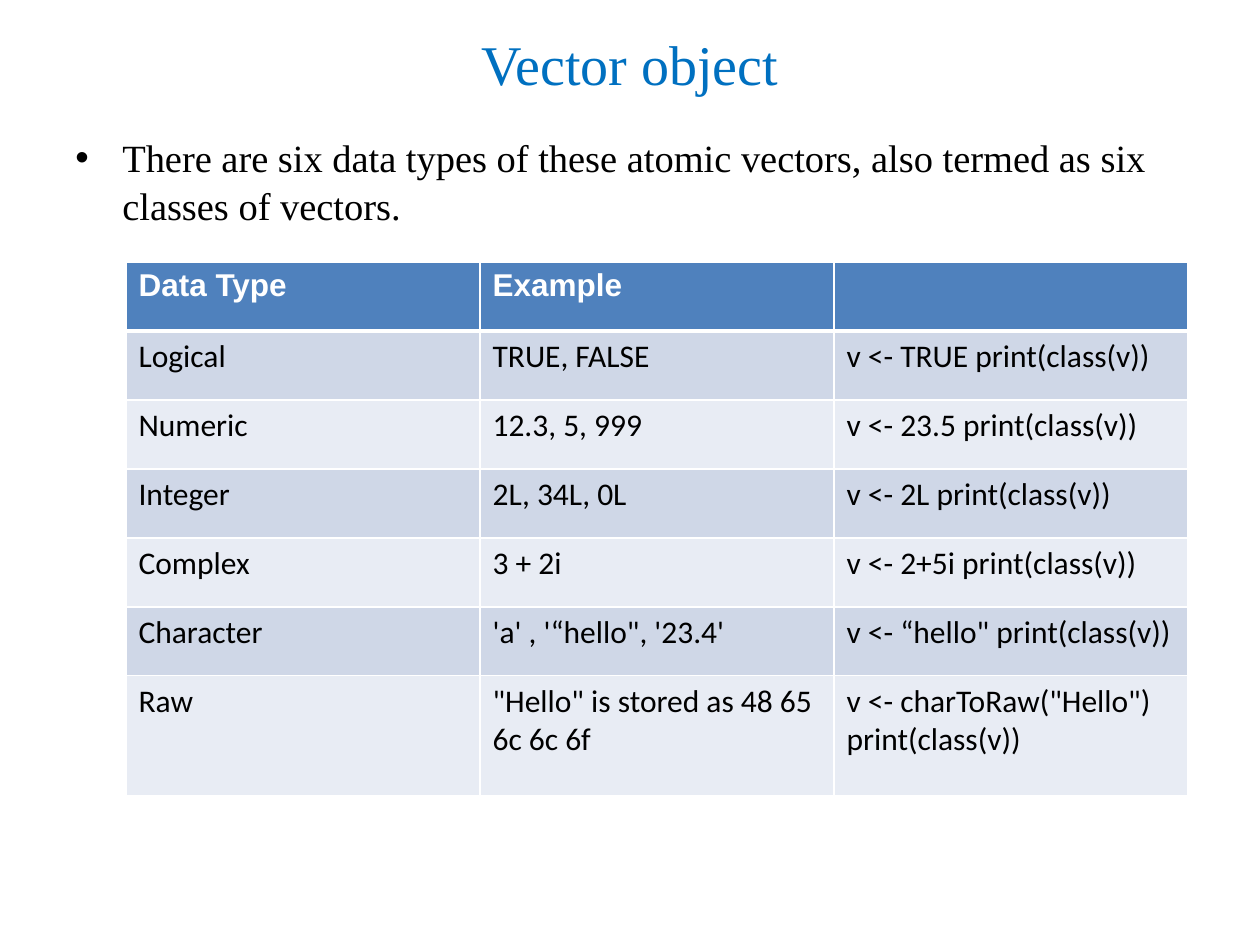
from lxml.etree import SubElement
from pptx import Presentation
from pptx.dml.color import RGBColor
from pptx.enum.text import MSO_ANCHOR, MSO_AUTO_SIZE, PP_ALIGN
from pptx.oxml.ns import qn
from pptx.util import Emu, Pt

SCALE = 914400 / 126
COLORS = {
    "title": "0070C0",
    "text": "000000",
    "white": "FFFFFF",
    "header": "4F81BD",
    "odd": "CFD7E7",
    "even": "E8ECF4",
}
ROWS = [
    ("Data Type", "Example", ""),
    ("Logical", "TRUE, FALSE", "v <- TRUE print(class(v))"),
    ("Numeric", "12.3, 5, 999", "v <- 23.5 print(class(v))"),
    ("Integer", "2L, 34L, 0L", "v <- 2L print(class(v))"),
    ("Complex", "3 + 2i", "v <- 2+5i print(class(v))"),
    ("Character", "'a' , '“hello\", '23.4'", "v <- “hello\" print(class(v))"),
    ("Raw", "\"Hello\" is stored as 48 65 6c 6c 6f",
     "v <- charToRaw(\"Hello\") print(class(v))"),
]


def px(n):
    return Emu(round(n * SCALE))


def rgb(name):
    return RGBColor.from_string(COLORS[name])


def place(sp, x, y, w, h):
    sp.left, sp.top, sp.width, sp.height = px(x), px(y), px(w), px(h)


def add_run(p, text, size, font, color, bold=False):
    r = p.add_run()
    r.text = text
    r.font.size = Pt(size)
    r.font.name = font
    r.font.bold = bold
    r.font.color.rgb = rgb(color)


def set_title(s, text):
    sp = s.shapes.title
    place(sp, 63, 0, 1134, 126)
    tf = sp.text_frame
    tf.auto_size = MSO_AUTO_SIZE.NONE
    tf.vertical_anchor = MSO_ANCHOR.MIDDLE
    p = tf.paragraphs[0]
    p.alignment = PP_ALIGN.CENTER
    add_run(p, text, 32, "Times New Roman", "title")


def add_bullet(s, text, x, y, w, h):
    tf = s.shapes.add_textbox(px(x), px(y), px(w), px(h)).text_frame
    tf.word_wrap = True
    p = tf.paragraphs[0]
    p.line_spacing = 1.04
    p.space_before = Pt(2)
    pPr = p._p.get_or_add_pPr()
    pPr.set("marL", str(px(47)))
    pPr.set("indent", str(-px(47)))
    SubElement(pPr, qn("a:buFont"), typeface="Arial")
    SubElement(pPr, qn("a:buChar"), char="•")
    add_run(p, text, 22, "Times New Roman", "text")


def set_borders(cell, bottom):
    tcPr = cell._tc.get_or_add_tcPr()
    widths = {"lnL": 1, "lnR": 1, "lnT": 1, "lnB": bottom}
    for i, (tag, width) in enumerate(widths.items()):
        ln = SubElement(tcPr, qn(f"a:{tag}"), w=str(Pt(width)))
        fill = SubElement(ln, qn("a:solidFill"))
        SubElement(fill, qn("a:srgbClr"), val=COLORS["white"])
        tcPr.insert(i, ln)


def format_cell(cell, text, row):
    header = row == 0
    cell.fill.solid()
    cell.fill.fore_color.rgb = rgb("header" if header else "odd" if row % 2 else "even")
    set_borders(cell, 3 if header else 1)
    if not text:
        return
    p = cell.text_frame.paragraphs[0]
    if header:
        add_run(p, text, 18, "Arial", "white", True)
    else:
        add_run(p, text, 18, "Calibri", "text")


def add_type_table(s, rows, x, y, col_w, row_h, last_h):
    n, cols = len(rows), len(rows[0])
    height = row_h * (n - 1) + last_h
    table = s.shapes.add_table(n, cols, px(x), px(y), px(col_w * cols), px(height)).table
    for col in table.columns:
        col.width = px(col_w)
    for i, values in enumerate(rows):
        table.rows[i].height = px(last_h if i == n - 1 else row_h)
        for j, text in enumerate(values):
            format_cell(table.cell(i, j), text, i)


def main():
    prs = Presentation()
    prs.slide_width, prs.slide_height = px(1260), px(945)
    s = prs.slides.add_slide(prs.slide_layouts[5])
    set_title(s, "Vector object")
    add_bullet(s, "There are six data types of these atomic vectors, "
                  "also termed as six classes of vectors.", 63, 126, 1134, 116)
    add_type_table(s, ROWS, 126, 262, 354, 69, 120)
    prs.save("out.pptx")


main()
